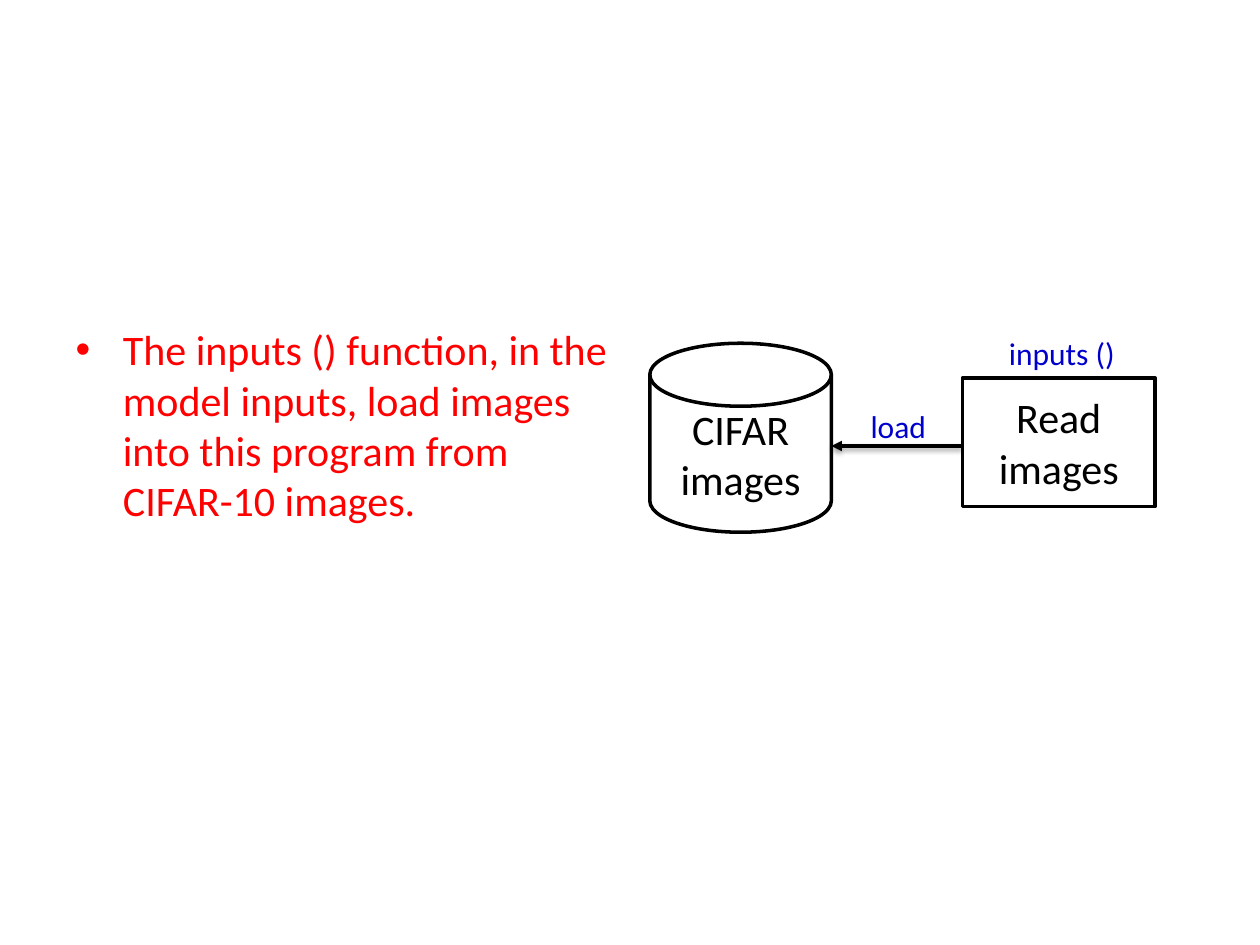
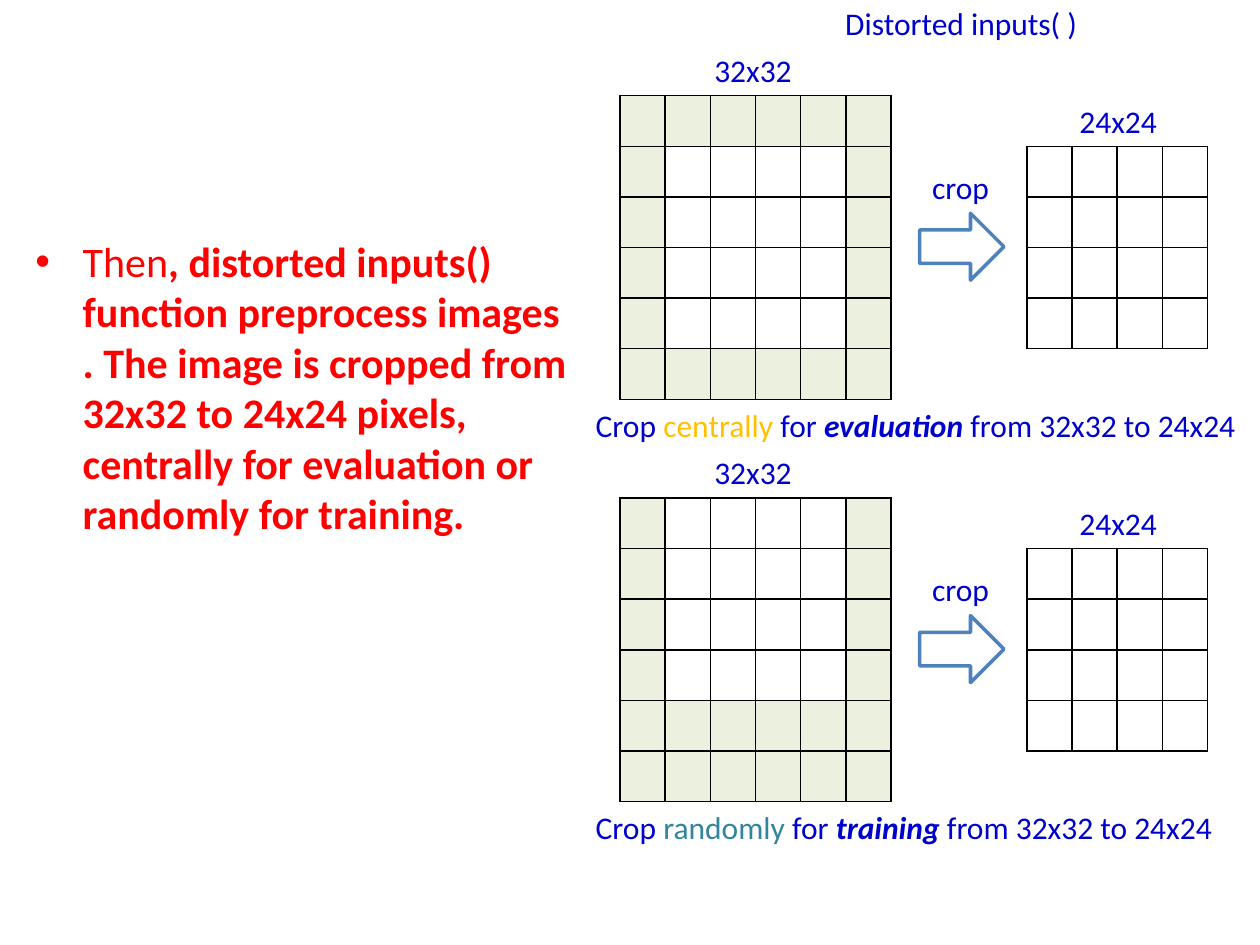
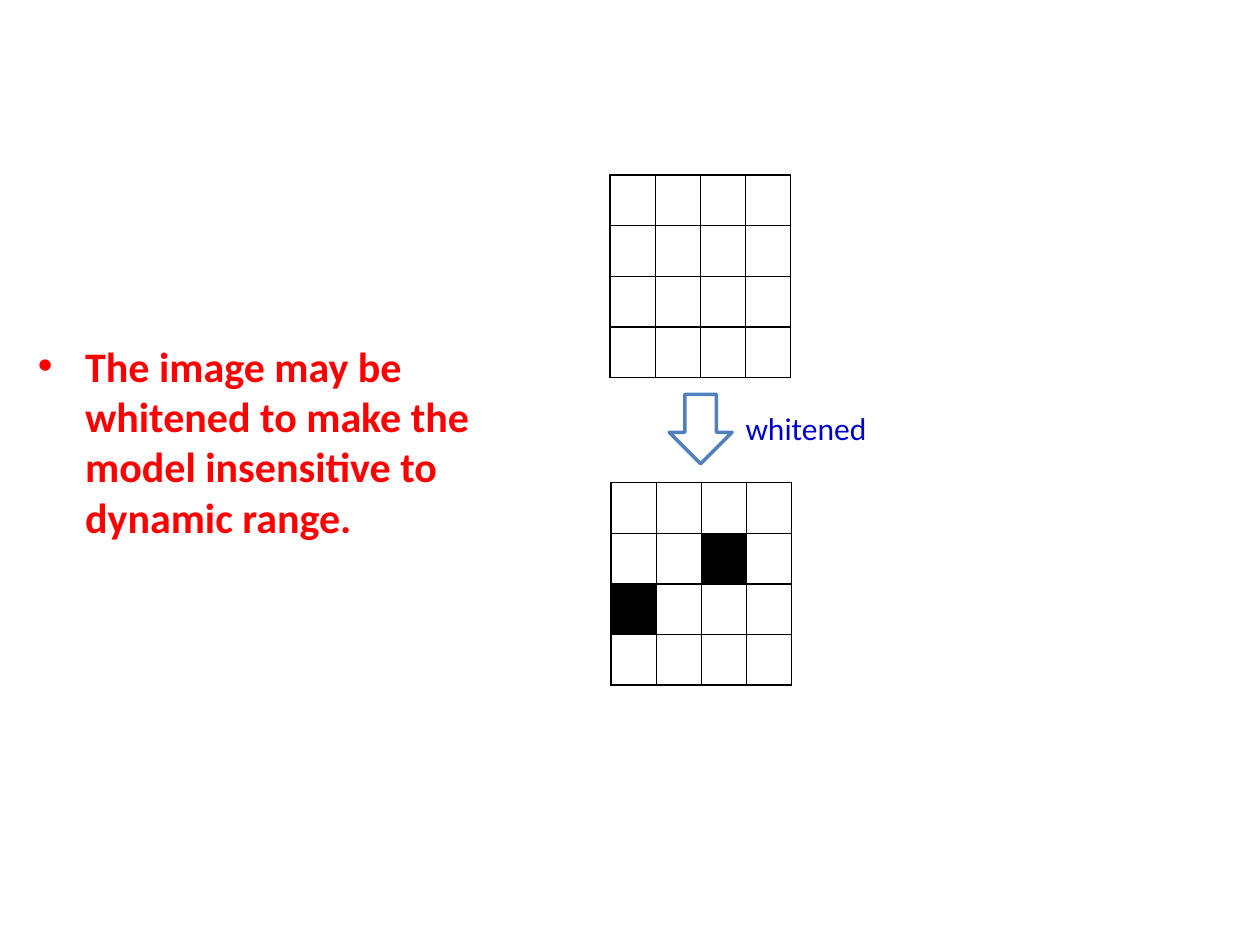
from dataclasses import dataclass
from itertools import product

from lxml.etree import SubElement
from pptx import Presentation
from pptx.dml.color import RGBColor
from pptx.enum.shapes import MSO_CONNECTOR as Connector, MSO_SHAPE as Preset
from pptx.enum.text import MSO_AUTO_SIZE as AutoSize, PP_ALIGN as Align
from pptx.oxml.ns import qn
from pptx.shapes.group import GroupShape
from pptx.slide import Slide
from pptx.util import Cm, Pt

COLORS = {
    "black": "000000",
    "white": "FFFFFF",
    "bullet": "FF0000",
    "label": "0000CC",
    "arrow": "4F81BD",
    "cropped": "EBF1DE",
    "central": "FFC000",
    "random": "31859C",
}
FONT = "Calibri"
BODY_SIZE = 24
LABEL_SIZE = 18
LABEL_HEIGHT = 1.02
CELL_WIDTH = 0.91
CELL_HEIGHT = 1.02
FULL_SIZE = 6
CROP_SIZE = 4


@dataclass(frozen=True)
class Box:
    left: float
    top: float
    width: float
    height: float = LABEL_HEIGHT

    def lengths(self) -> tuple[Cm, Cm, Cm, Cm]:
        return Cm(self.left), Cm(self.top), Cm(self.width), Cm(self.height)


@dataclass(frozen=True)
class Piece:
    text: str
    color: str = "label"
    bold: bool = False
    italic: bool = False


@dataclass(frozen=True)
class Node:
    preset: Preset
    box: Box
    text: str


@dataclass(frozen=True)
class Crop:
    top: float
    kept_row: int
    caption: tuple[Piece, ...]


def rgb(name: str) -> RGBColor:
    return RGBColor.from_string(COLORS[name])


def format_run(run, size: int, color: str, bold: bool = False, italic: bool = False) -> None:
    font = run.font
    font.name, font.size = FONT, Pt(size)
    font.bold, font.italic = bold, italic
    font.color.rgb = rgb(color)


def add_pieces(paragraph, pieces: tuple[Piece, ...], size: int) -> None:
    for piece in pieces:
        run = paragraph.add_run()
        run.text = piece.text
        format_run(run, size, piece.color, piece.bold, piece.italic)


def add_bullet_slide(presentation, box: Box, *pieces: Piece) -> Slide:
    slide = presentation.slides.add_slide(presentation.slide_layouts[1])
    title = slide.shapes.title.element
    title.getparent().remove(title)
    body = slide.placeholders[1]
    body.left, body.top, body.width, body.height = box.lengths()
    body.text_frame.auto_size = AutoSize.NONE
    add_pieces(body.text_frame.paragraphs[0], pieces, BODY_SIZE)
    return slide


def add_label(slide: Slide, box: Box, *pieces: Piece, wrap: bool = True) -> None:
    frame = slide.shapes.add_textbox(*box.lengths()).text_frame
    frame.word_wrap = wrap
    frame.auto_size = AutoSize.SHAPE_TO_FIT_TEXT
    add_pieces(frame.paragraphs[0], pieces, LABEL_SIZE)


def add_outline(owner: Slide | GroupShape, preset: Preset, box: Box, line: str):
    shape = owner.shapes.add_shape(preset, *box.lengths())
    shape.shadow.inherit = False
    shape.fill.solid()
    shape.fill.fore_color.rgb = rgb("white")
    shape.line.color.rgb = rgb(line)
    shape.line.width = Pt(2)
    return shape


def add_node(group: GroupShape, node: Node) -> None:
    frame = add_outline(group, node.preset, node.box, "black").text_frame
    frame.text = node.text
    for paragraph in frame.paragraphs:
        paragraph.alignment = Align.CENTER
        for run in paragraph.runs:
            format_run(run, BODY_SIZE, "black")


def add_arrow(group: GroupShape, start: float, end: float, height: float) -> None:
    arrow = group.shapes.add_connector(
        Connector.STRAIGHT, Cm(start), Cm(height), Cm(end), Cm(height)
    )
    arrow.line.color.rgb = rgb("black")
    arrow.line.width = Pt(2)
    properties = arrow.element.spPr
    SubElement(properties.find(qn("a:ln")), qn("a:tailEnd"), type="triangle")
    effects = SubElement(properties, qn("a:effectLst"))
    shadow = SubElement(
        effects, qn("a:outerShdw"), blurRad=str(Pt(3.1)), dist=str(Pt(1.6)), dir="5400000"
    )
    color = SubElement(shadow, qn("a:srgbClr"), val=COLORS["black"])
    SubElement(color, qn("a:alpha"), val="38000")


def add_borders(cell) -> None:
    properties = cell._tc.get_or_add_tcPr()
    for side in ("lnL", "lnR", "lnT", "lnB"):
        line = SubElement(properties, qn(f"a:{side}"), w=str(Pt(1)))
        fill = SubElement(line, qn("a:solidFill"))
        SubElement(fill, qn("a:srgbClr"), val=COLORS["black"])


def add_grid(
    slide: Slide,
    left: float,
    top: float,
    size: int,
    marked: frozenset[tuple[int, int]] = frozenset(),
    mark: str = "cropped",
) -> None:
    box = Box(left, top, size * CELL_WIDTH, size * CELL_HEIGHT)
    table = slide.shapes.add_table(size, size, *box.lengths()).table
    table.first_row = table.horz_banding = False
    for column in table.columns:
        column.width = Cm(CELL_WIDTH)
    for row in table.rows:
        row.height = Cm(CELL_HEIGHT)
    for position in product(range(size), repeat=2):
        cell = table.cell(*position)
        cell.margin_top = cell.margin_bottom = 0
        add_borders(cell)
        cell.fill.solid()
        cell.fill.fore_color.rgb = rgb(mark if position in marked else "white")


def add_crop(slide: Slide, crop: Crop) -> None:
    every = frozenset(product(range(FULL_SIZE), repeat=2))
    kept_rows = range(crop.kept_row, crop.kept_row + CROP_SIZE)
    kept = frozenset(product(kept_rows, range(1, 1 + CROP_SIZE)))
    add_grid(slide, 12.5, crop.top, FULL_SIZE, every - kept)
    add_grid(slide, 20.7, crop.top + 1.02, CROP_SIZE)
    add_outline(slide, Preset.RIGHT_ARROW, Box(18.54, crop.top + 2.37, 1.7, 1.35), "arrow")
    add_label(slide, Box(14.15, crop.top - 1.03, 2.34), Piece("32x32"))
    add_label(slide, Box(21.51, crop.top, 2.34), Piece("24x24"))
    add_label(slide, Box(18.54, crop.top + 1.33, 2.32), Piece("crop"))
    add_label(slide, Box(11.76, crop.top + 6.13, 13.59), *crop.caption)


def build_loading(presentation) -> None:
    slide = add_bullet_slide(
        presentation,
        Box(1.27, 6.4, 11.23, 4.32),
        Piece(
            "The inputs () function, in the model inputs, load images into this "
            "program from CIFAR-10 images.",
            "bullet",
        ),
    )
    disk = Node(Preset.FLOWCHART_MAGNETIC_DISK, Box(13.1, 6.92, 3.66, 3.81), "CIFAR\nimages")
    reader = Node(Preset.RECTANGLE, Box(19.4, 7.62, 3.89, 2.59), "Read\nimages")
    group = slide.shapes.add_group_shape()
    add_node(group, disk)
    add_arrow(group, reader.box.left, disk.box.left + disk.box.width, 8.99)
    add_node(group, reader)
    add_label(slide, Box(20.09, 6.6, 2.82), Piece("inputs ()"))
    add_label(slide, Box(17.3, 8.08, 1.65), Piece("load"), wrap=False)


def build_cropping(presentation) -> None:
    slide = add_bullet_slide(
        presentation,
        Box(0.46, 4.62, 11.23, 7.42),
        Piece("Then", "bullet"),
        Piece(
            ", distorted inputs() function preprocess images . The image is cropped "
            "from 32x32 to 24x24 pixels, centrally for evaluation or randomly for training.",
            "bullet",
            bold=True,
        ),
    )
    evaluation = (
        Piece("Crop "),
        Piece("centrally ", "central"),
        Piece("for "),
        Piece("evaluation", bold=True, italic=True),
        Piece(" from 32x32 to 24x24"),
    )
    training = (
        Piece("Crop "),
        Piece("randomly", "random"),
        Piece(" for "),
        Piece("training ", bold=True, italic=True),
        Piece("from 32x32 to 24x24"),
    )
    for crop in (Crop(1.93, 1, evaluation), Crop(10.04, 0, training)):
        add_crop(slide, crop)
    add_label(slide, Box(16.79, -0.05, 5.23), Piece("Distorted inputs( )"), wrap=False)


def build_whitening(presentation) -> None:
    slide = add_bullet_slide(
        presentation,
        Box(0.51, 6.73, 11.23, 4.39),
        Piece(
            "The image may be whitened to make the model insensitive to dynamic range.",
            "bullet",
            bold=True,
        ),
    )
    add_grid(slide, 12.3, 3.53, CROP_SIZE)
    add_grid(slide, 12.32, 9.73, CROP_SIZE, frozenset({(1, 2), (2, 0)}), "black")
    add_outline(slide, Preset.DOWN_ARROW, Box(13.49, 7.95, 1.27, 1.4), "arrow")
    add_label(slide, Box(14.78, 8.13, 6.5), Piece("whitened"))


def main() -> None:
    presentation = Presentation()
    presentation.slide_width, presentation.slide_height = Cm(25.4), Cm(19.05)
    for build in (build_loading, build_cropping, build_whitening):
        build(presentation)
    presentation.save("out.pptx")


main()
